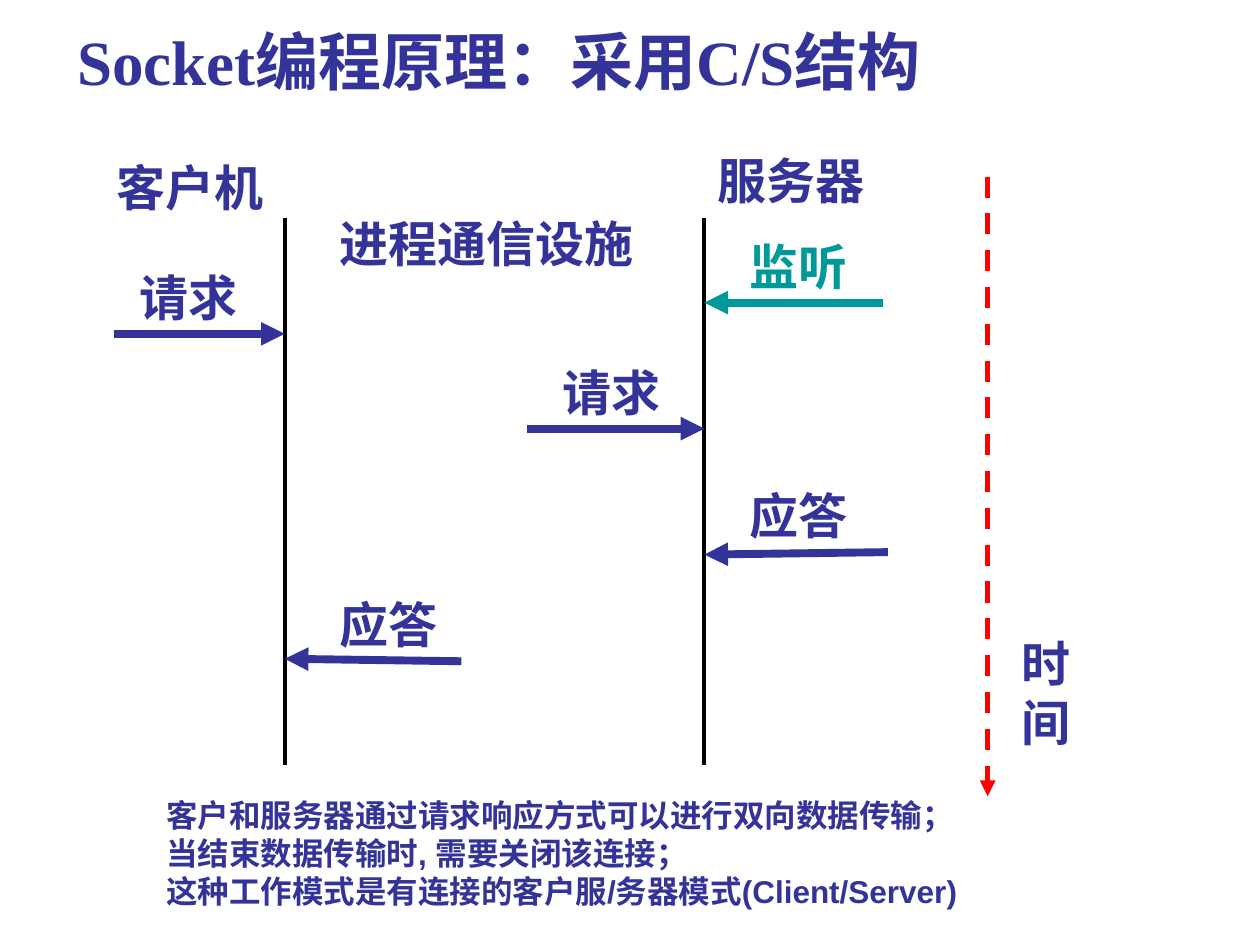
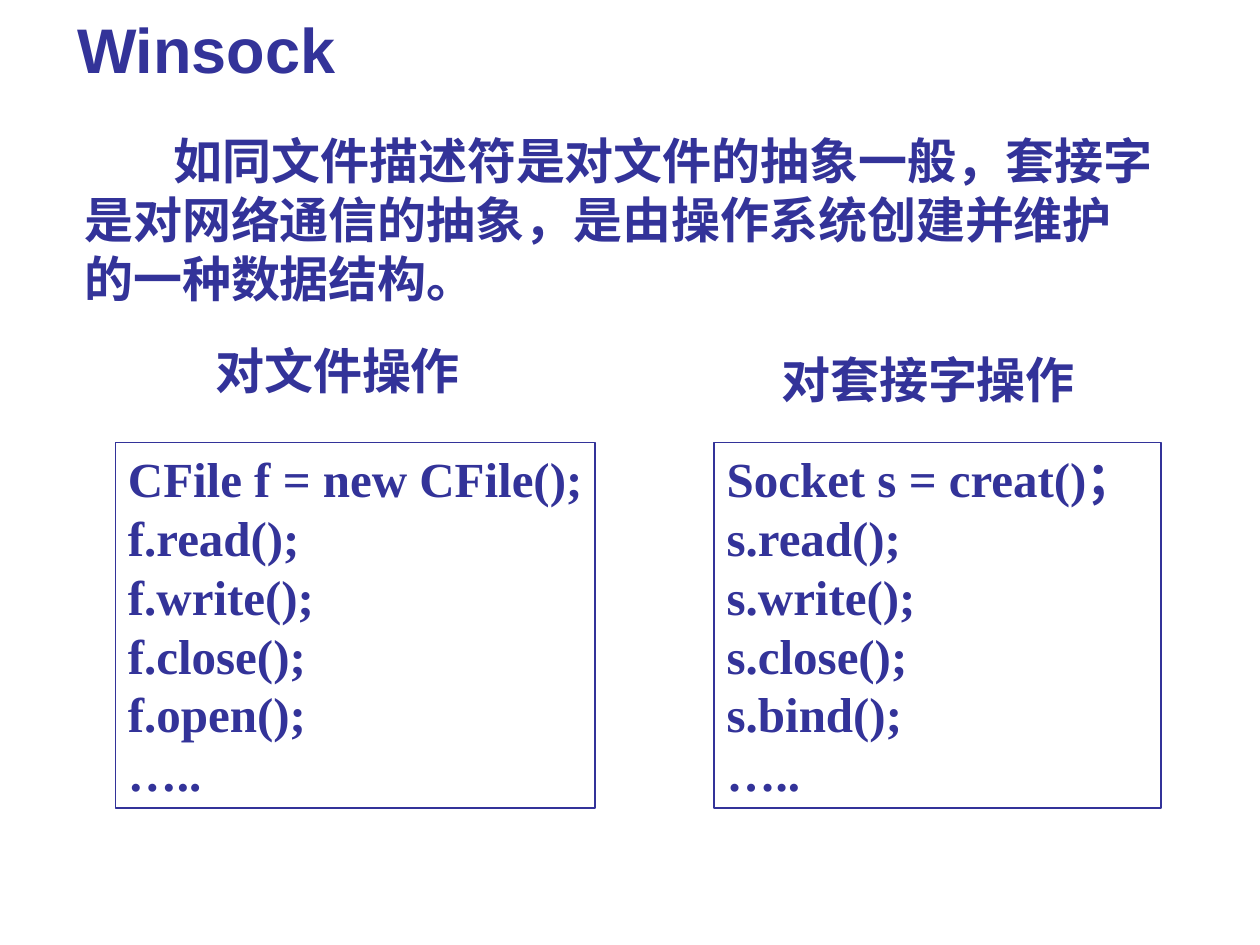
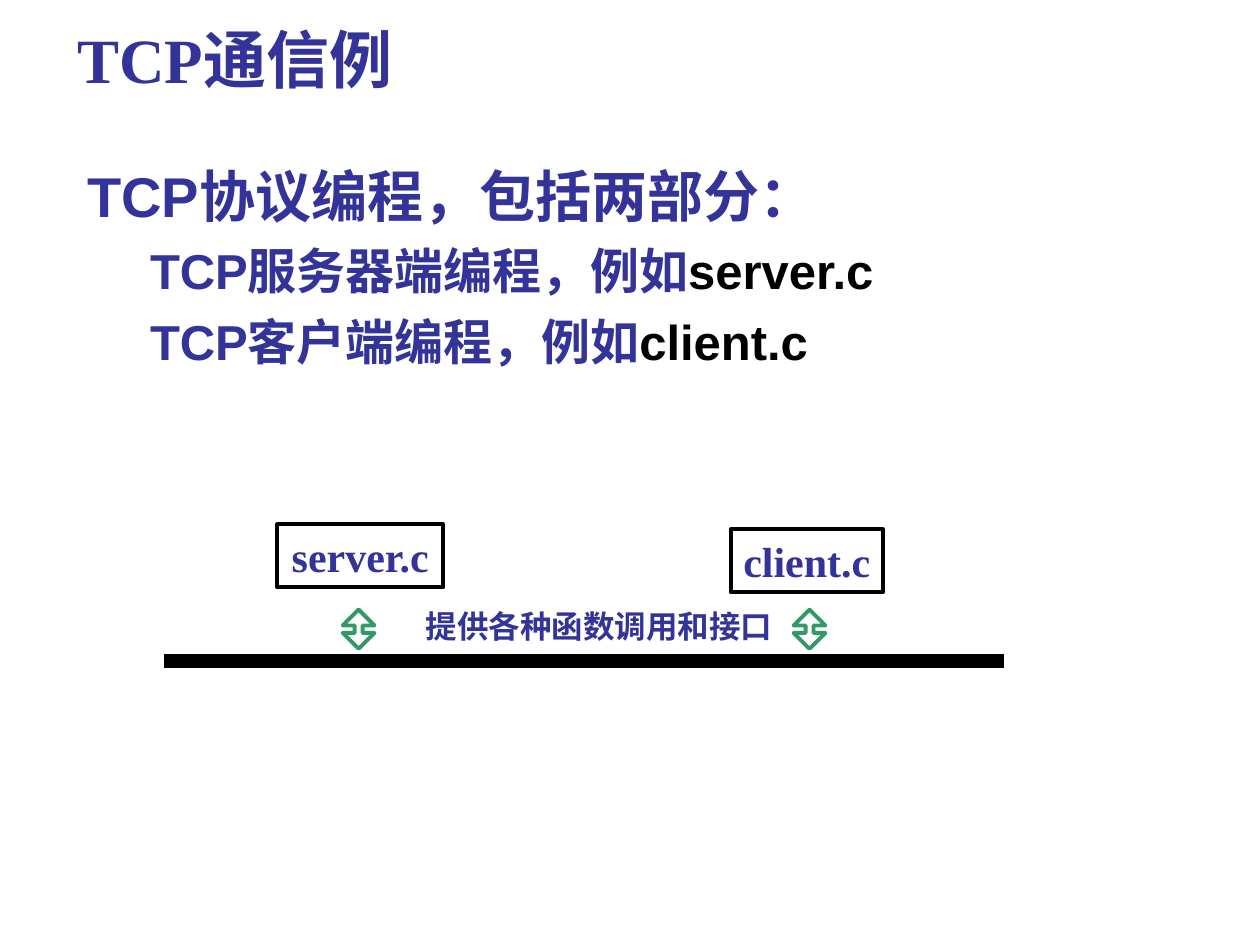
from dataclasses import dataclass

from lxml import etree
from pptx import Presentation
from pptx.dml.color import RGBColor
from pptx.enum.dml import MSO_LINE
from pptx.enum.shapes import MSO_CONNECTOR, MSO_SHAPE
from pptx.enum.text import MSO_ANCHOR as Anchor, MSO_AUTO_SIZE, PP_ALIGN as Align
from pptx.oxml.ns import qn
from pptx.util import Cm, Pt


@dataclass(frozen=True)
class Theme:
    navy: str = "333399"
    teal: str = "009999"
    green: str = "339966"
    red: str = "FF0000"
    black: str = "000000"
    white: str = "FFFFFF"
    sans: str = "Arial"
    serif: str = "Times New Roman"
    title: int = 36
    lead: int = 32
    body: int = 28
    box: int = 24
    note: int = 18


@dataclass(frozen=True)
class Box:
    """A region in centimetres."""
    left: float
    top: float
    width: float
    height: float

    def inner(self, x, y, width, height):
        return Box(self.left + x, self.top + y, width, height)

    def lengths(self):
        return [Cm(v) for v in (self.left, self.top, self.width, self.height)]


T = Theme()
TITLE_ONLY, TITLE_AND_BODY = 5, 1


# Shared helpers
def add_runs(p, runs, size, font):
    for text, color in runs:
        r = p.add_run()
        r.text = text
        r.font.size, r.font.name, r.font.bold = Pt(size), font, True
        r.font.color.rgb = RGBColor.from_string(color)


def write(tf, lines, size=T.body, font=T.serif, color=T.navy,
          align=Align.LEFT, anchor=Anchor.TOP, wrap=False):
    tf.word_wrap, tf.vertical_anchor = wrap, anchor
    tf.auto_size = MSO_AUTO_SIZE.NONE
    for i, line in enumerate(lines):
        p = tf.add_paragraph() if i else tf.paragraphs[0]
        p.alignment = align
        add_runs(p, [(line, color)], size, font)


def add_text(s, box, *lines, **style):
    tf = s.shapes.add_textbox(*box.lengths()).text_frame
    write(tf, lines, **style)
    return tf


def add_outlined(s, kind, box, color, width, fill=None):
    sp = s.shapes.add_shape(kind, *box.lengths())
    sp.shadow.inherit = False
    if fill:
        sp.fill.solid()
        sp.fill.fore_color.rgb = RGBColor.from_string(fill)
    else:
        sp.fill.background()
    sp.line.color.rgb = RGBColor.from_string(color)
    sp.line.width = Pt(width)
    return sp


def add_line(s, box, start, end, color, width, arrow=False, dash=False):
    """Draw a line between two points measured from the corner of box."""
    ends = [Cm(v) for x, y in (start, end) for v in (box.left + x, box.top + y)]
    cx = s.shapes.add_connector(MSO_CONNECTOR.STRAIGHT, *ends)
    cx.line.color.rgb = RGBColor.from_string(color)
    cx.line.width = Pt(width)
    if dash:
        cx.line.dash_style = MSO_LINE.DASH
    sp_pr = cx._element.spPr
    if arrow:
        etree.SubElement(sp_pr.find(qn("a:ln")), qn("a:tailEnd"), type="triangle")
    etree.SubElement(sp_pr, qn("a:effectLst"))


def place(sp, box):
    sp.left, sp.top, sp.width, sp.height = box.lengths()


def add_slide(prs, layout, title, box, font=T.serif):
    s = prs.slides.add_slide(prs.slide_layouts[layout])
    place(s.shapes.title, box)
    write(s.shapes.title.text_frame, [title], size=T.title, font=font,
          anchor=Anchor.MIDDLE, wrap=True)
    return s


# Slide 1: request and reply over time
def sequence_diagram(s, box):
    client, server, time = 3.64, 12.1, 17.81
    label_h = 1.45

    # Lifelines and their names
    for x in (client, server):
        add_line(s, box, (x, 1.49), (x, 12.52), T.black, 2.25)
    for name, x, y, width in (("客户机", 0, 0.15, 3.45),
                              ("服务器", 12.12, 0, 3.45),
                              ("进程通信设施", 4.5, 1.27, 6.43)):
        add_text(s, box.inner(x, y, width, label_h), name)

    # Messages: label, label x, start x, lifeline, start y, end y, colour
    for label, x, start, lifeline, y1, y2, color in (
            ("请求", 0.47, 0.19, client, 3.83, 3.83, T.navy),
            ("请求", 9, 8.52, server, 5.74, 5.74, T.navy),
            ("应答", 4.5, 7.2, client, 10.43, 10.38, T.navy),
            ("应答", 12.76, 15.8, server, 8.23, 8.28, T.navy),
            ("监听", 12.76, 15.7, server, 3.2, 3.2, T.teal)):
        add_line(s, box, (start, y1), (lifeline, y2), color, 4.5, arrow=True)
        add_text(s, box.inner(x, y1 - 1.46, 2.46, label_h), label, color=color)

    # Time axis
    add_line(s, box, (time, 0.66), (time, 13.15), T.red, 3, arrow=True, dash=True)
    add_text(s, box.inner(18.25, 9.75, 1.5, 2.64), "时", "间")


def principle_slide(prs):
    s = add_slide(prs, TITLE_ONLY, "Socket编程原理：采用C/S结构",
                  Box(1.3, 0.33, 18.95, 1.78))
    sequence_diagram(s, Box(2.1, 2.9, 19.8, 13.2))
    add_text(s, Box(3.1, 15.93, 19.2, 2.54),
             "客户和服务器通过请求响应方式可以进行双向数据传输；",
             "当结束数据传输时, 需要关闭该连接；",
             "这种工作模式是有连接的客户服/务器模式(Client/Server)",
             size=T.note, font=T.sans, wrap=True)


# Slide 2: file calls beside socket calls
def code_column(s, box, heading, heading_box, lines):
    add_text(s, heading_box, heading, wrap=True)
    sp = add_outlined(s, MSO_SHAPE.RECTANGLE, box, T.navy, 1)
    write(sp.text_frame, lines)


def winsock_slide(prs):
    s = add_slide(prs, TITLE_ONLY, "Winsock", Box(1.3, 0, 21.34, 1.93), font=T.sans)
    tf = add_text(s, Box(1.45, 2.51, 22.02, 3.81),
                  "如同文件描述符是对文件的抽象一般，套接字",
                  "是对网络通信的抽象，是由操作系统创建并维护",
                  "的一种数据结构。")
    tf.paragraphs[0]._p.get_or_add_pPr().set("indent", str(Cm(1.8)))

    code_column(s, Box(2.33, 8.92, 9.66, 7.37),
                "对文件操作", Box(4.09, 6.73, 6.4, 1.45),
                ["CFile f = new CFile();", "f.read();", "f.write();",
                 "f.close();", "f.open();", "….."])
    code_column(s, Box(14.4, 8.92, 9, 7.37),
                "对套接字操作", Box(15.5, 6.93, 7, 1.45),
                ["Socket s = creat()；", "s.read();", "s.write();",
                 "s.close();", "s.bind();", "….."])


# Slide 3: two programs on one interface
def program_list(s, box):
    sp = s.placeholders[1]
    place(sp, box)
    tf = sp.text_frame
    write(tf, ["TCP协议编程，包括两部分："], size=T.lead, font=T.sans, wrap=True)
    for intro, program in (("TCP服务器端编程，例如", "server.c"),
                           ("TCP客户端编程，例如", "client.c")):
        p = tf.add_paragraph()
        p.level = 1
        add_runs(p, [(intro, T.navy), (program, T.black)], T.body, T.sans)
    for p in tf.paragraphs:
        p.space_before = Pt(7 if p.level else 8)
        p_pr = p._p.get_or_add_pPr()
        p_pr.set("marL", str(Cm(1.27 * p.level)))
        p_pr.set("indent", "0")
        etree.SubElement(p_pr, qn("a:buNone"))


def interface_diagram(s, box):
    # Programs
    for name, x, y, width in (("server.c", 2.29, 0, 3.35),
                              ("client.c", 11.43, 0.1, 3.07)):
        sp = add_outlined(s, MSO_SHAPE.RECTANGLE, box.inner(x, y, width, 1.27),
                          T.black, 2.25)
        write(sp.text_frame, [name], size=T.box, align=Align.CENTER,
              anchor=Anchor.MIDDLE)

    # Interface bar, with arrows to the programs
    bar_y = 2.75
    add_line(s, box, (0, bar_y), (box.width, bar_y), T.black, 8)
    for x in (3.61, 12.7):
        sp = add_outlined(s, MSO_SHAPE.UP_DOWN_ARROW, box.inner(x, 1.72, 0.64, 0.79),
                          T.green, 2.25, fill=T.white)
        sp.adjustments[0], sp.adjustments[1] = 0.5, 0.25
    add_text(s, box.inner(5.03, 1.55, 7.49, 1.02), "提供各种函数调用和接口",
             size=T.note, font=T.sans)


def tcp_slide(prs):
    s = add_slide(prs, TITLE_AND_BODY, "TCP通信例", Box(1.3, 0.53, 16.2, 1.3))
    program_list(s, Box(1.5, 3.12, 20.1, 12.55))
    interface_diagram(s, Box(3.3, 10.57, 16.94, 2.9))


def main():
    prs = Presentation()
    prs.slide_width, prs.slide_height = Cm(25.4), Cm(19.05)
    principle_slide(prs)
    winsock_slide(prs)
    tcp_slide(prs)
    prs.save("out.pptx")


if __name__ == "__main__":
    main()
